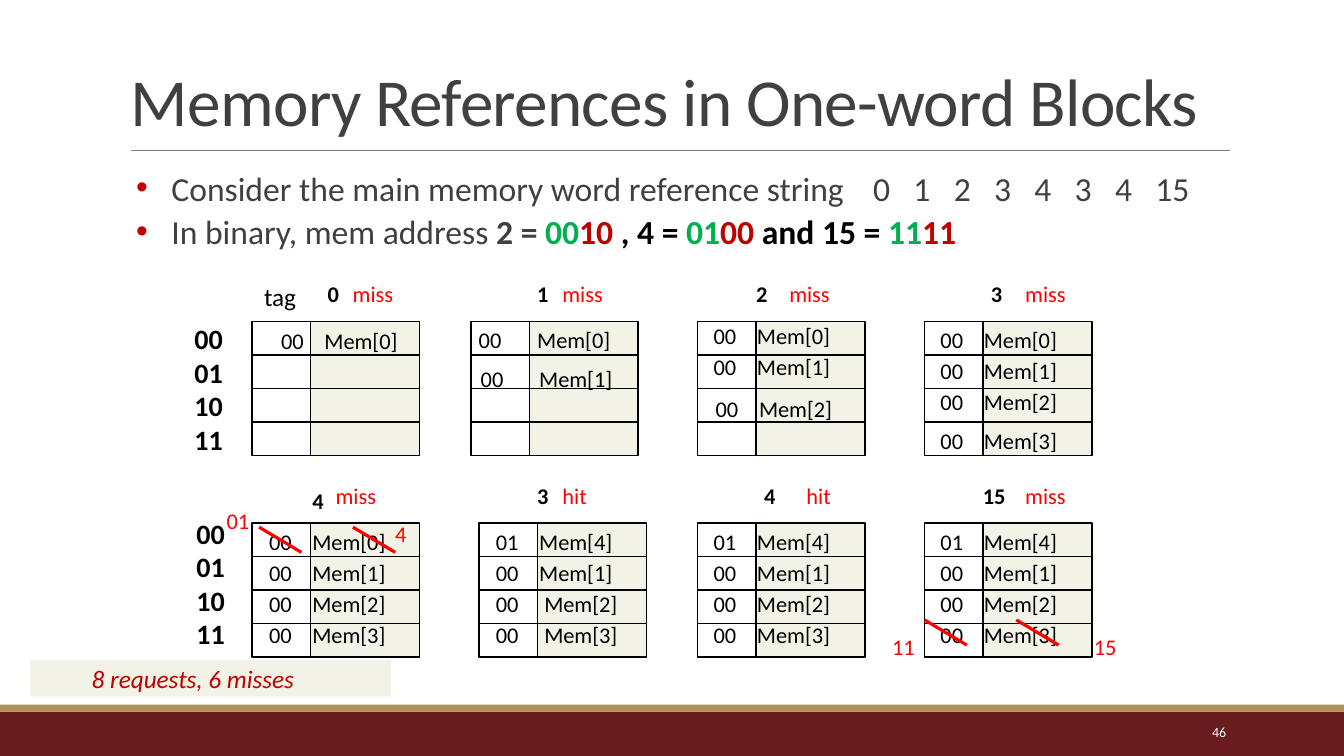
"""Build the slide on memory references in a direct-mapped cache with one-word blocks."""
from dataclasses import dataclass
from typing import NamedTuple

from lxml.etree import SubElement
from pptx import Presentation
from pptx.dml.color import RGBColor
from pptx.enum.shapes import MSO_CONNECTOR, MSO_SHAPE
from pptx.enum.text import MSO_ANCHOR, PP_ALIGN
from pptx.oxml.ns import qn
from pptx.util import Inches, Pt

COLORS = {
    "black": "000000", "white": "FFFFFF", "heading": "404040", "rule": "808080",
    "maroon": "691D20", "gold": "B1915A", "cream": "F3F2E6",
    "index": "C00000", "tag": "00B050", "event": "FF0000",
}
FONT = "Calibri"
TAG_WIDTH, WORD_WIDTH, CACHE_HEIGHT, CACHE_ROWS = 0.58, 1.08, 1.33, 4
UPPER, LOWER = 3.19, 5.19
NARROW, MEDIUM, WIDE = 0.43, 0.48, 0.58
INSETS = (0.1, 0.05, 0.1, 0.05)


class Run(NamedTuple):
    text: str
    color: str
    bold: bool = False


class Entry(NamedTuple):
    tag: str
    word: int
    gap: float = NARROW


@dataclass(frozen=True)
class Step:
    left: float
    top: float
    address: str
    address_left: float
    outcome: str
    outcome_left: float
    address_drop: float = 0


@dataclass(frozen=True)
class Contents:
    left: float
    top: float
    entries: tuple[Entry, ...]
    spacing: float = 1.15


@dataclass(frozen=True)
class Replacement:
    strikes: tuple[float, float]
    strike_top: float
    tag: tuple[str, float, float]
    word: tuple[str, float, float]


STEPS = (
    Step(2.5, UPPER, "0", 3.15, "miss", 3.4),
    Step(4.67, UPPER, "1", 5.23, "miss", 5.48),
    Step(6.92, UPPER, "2", 7.4, "miss", 7.73),
    Step(9.17, UPPER, "3", 9.73, "miss", 10.07),
    Step(2.5, LOWER, "4", 3, "miss", 3.23, 0.05),
    Step(4.75, LOWER, "3", 5.23, "hit", 5.48),
    Step(6.92, LOWER, "4", 7.48, "hit", 7.9),
    Step(9.17, LOWER, "15", 9.65, "miss", 10.07),
)
FIRST_FOUR = tuple(Entry("00", word) for word in range(4))
AFTER_FOUR = (Entry("01", 4), *FIRST_FOUR[1:])
CONTENTS = (
    Contents(2.69, 3.2, FIRST_FOUR[:1], 1),
    Contents(4.65, 3.15, (Entry("00", 0, WIDE),)),
    Contents(4.67, 3.53, (Entry("00", 1, WIDE),)),
    Contents(6.98, 3.11, FIRST_FOUR[:2]),
    Contents(7, 3.83, FIRST_FOUR[2:3]),
    Contents(9.23, 3.15, FIRST_FOUR[:3]),
    Contents(9.23, 4.15, FIRST_FOUR[3:]),
    Contents(2.57, 5.15, FIRST_FOUR),
    Contents(4.82, 5.15, (*AFTER_FOUR[:2], Entry("00", 2, MEDIUM), Entry("00", 3, MEDIUM))),
    Contents(6.98, 5.15, AFTER_FOUR),
    Contents(9.23, 5.15, AFTER_FOUR),
)
REPLACEMENTS = (
    Replacement((2.57, 3.5), 5.23, ("01", 2.15, 4.98), ("4", 3.82, 5.11)),
    Replacement((9.17, 10.08), 6.15, ("11", 8.75, 6.23), ("15", 10.75, 6.23)),
)
BINARY_ADDRESSES = (
    Run("In binary, mem address ", "heading"), Run("2 = ", "heading", True),
    Run("00", "tag", True), Run("10 ", "index", True), Run(", 4 = ", "black", True),
    Run("01", "tag", True), Run("00", "index", True), Run(" and 15 = ", "black", True),
    Run("11", "tag", True), Run("11", "index", True),
)


def rgb(name: str) -> RGBColor:
    return RGBColor.from_string(COLORS[name])


def add_box(slide, left: float, top: float, width: float, height: float,
            fill: str | None = None, line: str | None = None):
    box = slide.shapes.add_shape(
        MSO_SHAPE.RECTANGLE, Inches(left), Inches(top), Inches(width), Inches(height))
    box.shadow.inherit = False
    if fill:
        box.fill.solid()
        box.fill.fore_color.rgb = rgb(fill)
    else:
        box.fill.background()
    if line:
        box.line.color.rgb = rgb(line)
        box.line.width = Pt(1)
    else:
        box.line.fill.background()
    return box


def add_line(slide, start: tuple[float, float], end: tuple[float, float],
             color: str = "black", weight: float = 1):
    line = slide.shapes.add_connector(
        MSO_CONNECTOR.STRAIGHT, *(Inches(value) for value in (*start, *end)))
    line.line.color.rgb = rgb(color)
    line.line.width = Pt(weight)
    SubElement(line.element.spPr, qn("a:effectLst"))
    return line


def add_text(slide, text: str | tuple, left: float, top: float, width: float,
             height: float = 0.37, *, size: float = 16, color: str = "black",
             bold: bool = False, italic: bool = False, wrap: bool = False,
             align=PP_ALIGN.LEFT, anchor=MSO_ANCHOR.TOP, insets: tuple = INSETS,
             spacing: float = 1, before: float = 0, after: float = 0, bullet: str = "",
             tabs: tuple = (), tracking: int = 0, holder=None):
    """Text is a string of lines, or a tuple of paragraphs that are tuples of runs."""
    holder = holder or slide.shapes.add_textbox(
        Inches(left), Inches(top), Inches(width), Inches(height))
    frame = holder.text_frame
    frame.word_wrap = wrap
    frame.vertical_anchor = anchor
    frame.margin_left, frame.margin_top, frame.margin_right, frame.margin_bottom = (
        Inches(inset) for inset in insets)
    if isinstance(text, str):
        text = tuple((Run(part, color, bold),) for part in text.split("\n"))
    for number, runs in enumerate(text):
        paragraph = frame.add_paragraph() if number else frame.paragraphs[0]
        properties = paragraph._p.get_or_add_pPr()
        if bullet:
            properties.set("marL", str(Inches(0.4)))
            properties.set("indent", str(-Inches(0.35)))
            bullet_color = SubElement(properties, qn("a:buClr"))
            SubElement(bullet_color, qn("a:srgbClr"), val=COLORS["index"])
            SubElement(properties, qn("a:buFont"), typeface="Arial")
            SubElement(properties, qn("a:buChar"), char=bullet)
        if tabs:
            stops = SubElement(properties, qn("a:tabLst"))
            for stop in tabs[number]:
                SubElement(stops, qn("a:tab"), pos=str(Inches(stop)), algn="l")
        paragraph.alignment = align
        paragraph.line_spacing = spacing
        paragraph.space_before = Pt(before if number else 0)
        paragraph.space_after = Pt(after)
        for piece in runs:
            run = paragraph.add_run()
            run.text = piece.text
            run.font.name, run.font.size = FONT, Pt(size)
            run.font.bold, run.font.italic = piece.bold, italic
            run.font.color.rgb = rgb(piece.color)
            if tracking:
                run._r.get_or_add_rPr().set("spc", str(tracking))


def add_column(slide, left: float, top: float, width: float, fill: str | None) -> None:
    column = add_box(slide, left, top, width, CACHE_HEIGHT, fill, "black")
    for row in range(1, CACHE_ROWS):
        y = top + row * CACHE_HEIGHT / CACHE_ROWS
        divider = add_line(slide, (left, y), (left + width, y))
        if row * 2 == CACHE_ROWS:
            divider.begin_connect(column, 1)
            divider.end_connect(column, 3)


def add_step(slide, step: Step) -> None:
    add_column(slide, step.left + TAG_WIDTH, step.top, WORD_WIDTH, "cream")
    add_column(slide, step.left, step.top, TAG_WIDTH, None)
    heading_top = step.top - 0.46
    add_text(slide, step.address, step.address_left, heading_top + step.address_drop,
             0.21 + 0.11 * len(step.address), bold=True)
    add_text(slide, step.outcome, step.outcome_left, heading_top,
             0.61 if step.outcome == "miss" else 0.45, color="event")


def add_contents(slide, contents: Contents) -> None:
    lines = "\n".join(f"{entry.tag}\tMem[{entry.word}]" for entry in contents.entries)
    add_text(slide, lines, contents.left, contents.top, 1.6,
             0.1 + 0.31 * len(contents.entries), wrap=True, spacing=contents.spacing,
             tabs=tuple((entry.gap,) for entry in contents.entries))


def add_replacement(slide, change: Replacement) -> None:
    for left in change.strikes:
        add_line(slide, (left, change.strike_top), (left + 0.42, change.strike_top + 0.25),
                 "event", 2.25)
    for value, left, top in (change.tag, change.word):
        add_text(slide, value, left, top, 0.21 + 0.11 * len(value), color="event")


def main() -> None:
    deck = Presentation()
    deck.slide_width, deck.slide_height = Inches(13.33), Inches(7.5)
    slide = deck.slides.add_slide(deck.slide_layouts[6])
    add_box(slide, 0, 7.06, 13.33, 0.44, "maroon")
    add_box(slide, 0, 6.99, 13.33, 0.07, "gold")
    add_line(slide, (1.3, 1.49), (12.2, 1.49), "rule", 0.5)
    add_text(slide, "Memory References in One-word Blocks", 1.2, 0.31, 11, 1.13, size=48,
             color="heading", wrap=True, anchor=MSO_ANCHOR.BOTTOM, spacing=0.85, tracking=-50)
    reference = (Run("Consider the main memory word reference string", "heading"),)
    add_text(slide, (reference, BINARY_ADDRESSES), 1.3, 1.69, 10.9, 0.93, size=24, wrap=True,
             insets=(0, 0.05, 0, 0.05), spacing=0.8, before=6, after=2, bullet="•")
    add_text(slide, "0\t1\t2\t3\t4\t3\t4\t15", 8.66, 1.69, 3.5, 0.45, size=24,
             color="heading", wrap=True, insets=(0, 0.05, 0, 0.05), spacing=0.8,
             tabs=(tuple(0.4 * position for position in range(1, 8)),))
    for step in STEPS:
        add_step(slide, step)
    for contents in CONTENTS:
        add_contents(slide, contents)
    for change in REPLACEMENTS:
        add_replacement(slide, change)
    for left, top in ((1.83, 3.14), (1.85, 5.07)):
        add_text(slide, "00\n01\n10\n11", left, top, 0.49, 1.45, size=20, bold=True)
    add_text(slide, "tag", 2.52, 2.74, 0.52, 0.4, size=18)
    summary = (0.3, 6.55, 3.58, 0.36)
    add_text(slide, "8 requests, 6 misses", *summary, size=18, color="index", italic=True,
             wrap=True, anchor=MSO_ANCHOR.MIDDLE, insets=(0.61, 0.03, 0.07, 0.03),
             holder=add_box(slide, *summary, "cream"))
    add_text(slide, "46", 10.83, 7.06, 1.43, 0.4, size=10, color="white", wrap=True,
             align=PP_ALIGN.RIGHT, anchor=MSO_ANCHOR.MIDDLE)
    deck.save("out.pptx")


if __name__ == "__main__":
    main()
